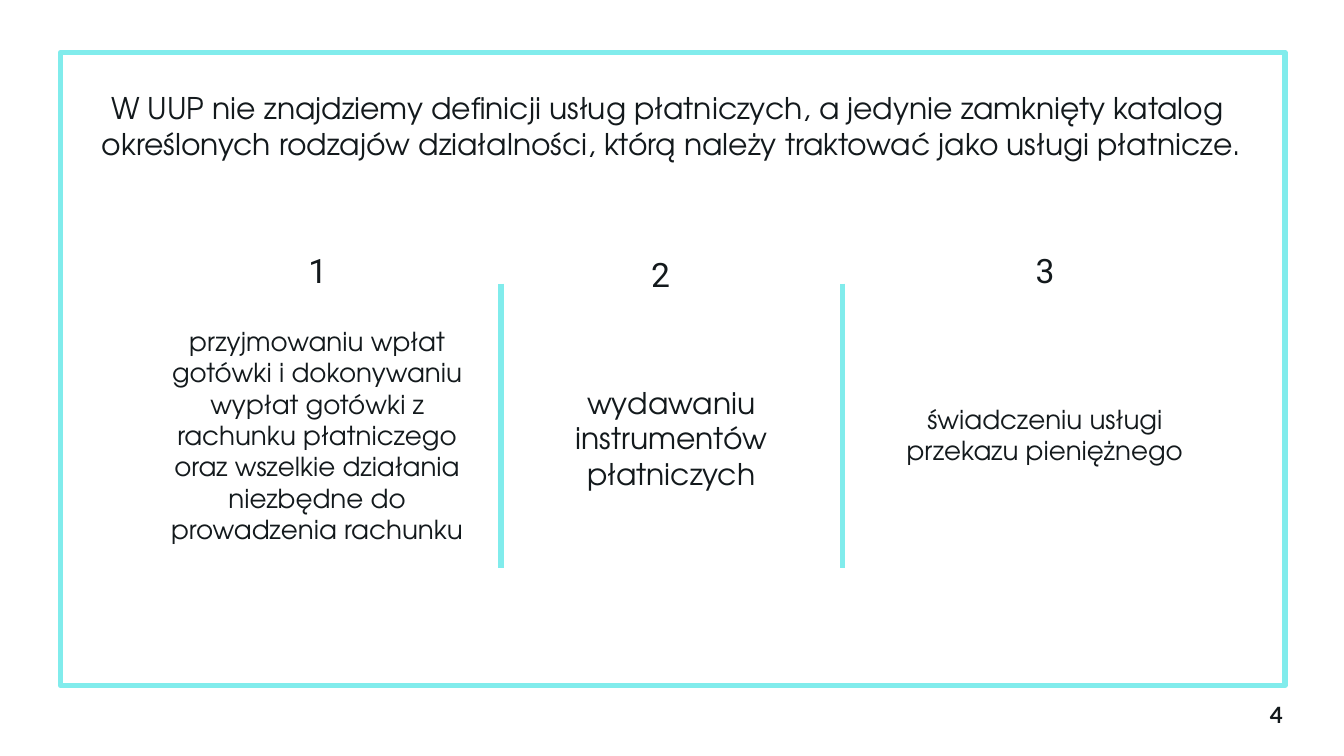
from lxml import etree
from pptx import Presentation
from pptx.dml.color import RGBColor
from pptx.enum.shapes import MSO_CONNECTOR, MSO_SHAPE
from pptx.enum.text import MSO_ANCHOR, MSO_AUTO_SIZE, PP_ALIGN
from pptx.oxml.ns import qn
from pptx.util import Inches, Pt

STRAIGHT, RECT = MSO_CONNECTOR.STRAIGHT, MSO_SHAPE.RECTANGLE
TOP, MIDDLE, BOTTOM = MSO_ANCHOR.TOP, MSO_ANCHOR.MIDDLE, MSO_ANCHOR.BOTTOM
LEFT, CENTER = PP_ALIGN.LEFT, PP_ALIGN.CENTER
NO_AUTOFIT = MSO_AUTO_SIZE.NONE
COLORS = {"accent": "81ECEC", "text": "13191C"}
BODY_FONT, NUMBER_FONT, PAGE_FONT = "TeX Gyre Adventor", "Roboto", "Lato"

TITLE = ("W UUP nie znajdziemy definicji usług płatniczych, a jedynie zamknięty katalog \v"
         "określonych rodzajów działalności, którą należy traktować jako usługi płatnicze.")
SERVICES = [
    ("1", (1.21, 1.55, 2.31, 0.71),
     "przyjmowaniu wpłat gotówki i dokonywaniu wypłat gotówki z rachunku płatniczego "
     "oraz wszelkie działania niezbędne do prowadzenia rachunku",
     (1.12, 2.32, 2.48, 1.7), 14),
    ("2", (3.76, 1.58, 2.31, 0.71),
     "wydawaniu instrumentów płatniczych", (3.84, 2.76, 2.31, 1.7), 16),
    ("3", (6.62, 1.55, 2.31, 0.71),
     "świadczeniu usługi przekazu pieniężnego", (6.62, 2.9, 2.31, 1.7), 14),
]


def color(name):
    """Return a palette colour."""
    return RGBColor.from_string(COLORS[name])


def set_text(sp, text, size, font, anchor=TOP, align=CENTER, bold=False):
    """Fill a shape with one formatted paragraph."""
    tf = sp.text_frame
    tf.text = text
    tf.word_wrap = True
    tf.auto_size = NO_AUTOFIT
    tf.vertical_anchor = anchor
    tf.margin_left = tf.margin_right = tf.margin_top = tf.margin_bottom = Inches(0.1)
    p = tf.paragraphs[0]
    p.alignment = align
    for r in p.runs:
        r.font.size, r.font.name, r.font.bold = Pt(size), font, bold
        r.font.color.rgb = color("text")


def add_text(s, box, *args, **kwargs):
    """Add a text box in the given box."""
    set_text(s.shapes.add_textbox(*map(Inches, box)), *args, **kwargs)


def add_frame(s, box):
    """Draw the outlined frame around the content."""
    sp = s.shapes.add_shape(RECT, *map(Inches, box))
    sp.shadow.inherit = False
    sp.fill.background()
    sp.line.color.rgb = color("accent")
    sp.line.width = Pt(3)
    etree.SubElement(sp._element.spPr.find(qn("a:ln")), qn("a:round"))


def add_title(s, box):
    """Place and format the title placeholder."""
    sp = s.shapes.title
    sp.left, sp.top, sp.width, sp.height = map(Inches, box)
    set_text(sp, TITLE, 16, BODY_FONT)


def add_divider(s, x, top, bottom):
    """Draw a vertical line between two columns."""
    line = s.shapes.add_connector(STRAIGHT, *map(Inches, (x, top, x, bottom)))
    line.line.color.rgb = color("accent")
    line.line.width = Pt(3)
    etree.SubElement(line._element.spPr, qn("a:effectLst"))


def add_service(s, number, number_box, text, text_box, size):
    """Add a numbered service column."""
    add_text(s, number_box, number, 18, NUMBER_FONT, anchor=BOTTOM)
    add_text(s, text_box, text, size, BODY_FONT)


def main():
    """Build and save the slide."""
    prs = Presentation()
    prs.slide_width = Inches(10)
    prs.slide_height = prs.slide_width * 9 // 16
    s = prs.slides.add_slide(prs.slide_layouts[5])
    add_frame(s, (0.45, 0.39, 9.11, 4.71))
    add_title(s, (0, 0.57, 10, 0.53))
    for x in (3.73, 6.27):
        add_divider(s, x, 2.11, 4.23)
    for service in SERVICES:
        add_service(s, *service)
    add_text(s, (9.35, 5.1, 0.6, 0.43), "4", 12, PAGE_FONT,
             anchor=MIDDLE, align=LEFT, bold=True)
    prs.save("out.pptx")


if __name__ == "__main__":
    main()
